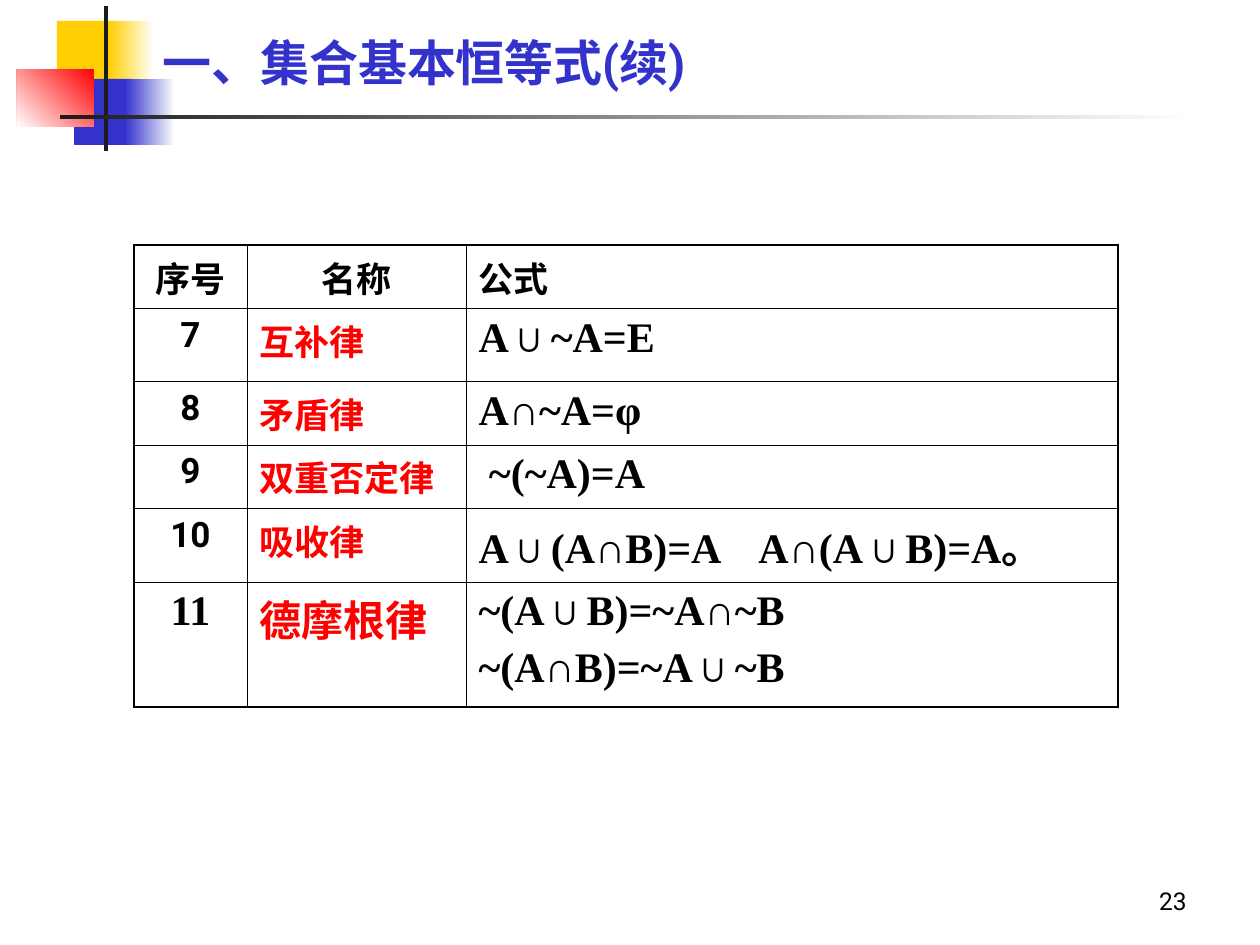
from dataclasses import dataclass

from lxml.etree import SubElement as Sub
from pptx import Presentation
from pptx.dml.color import RGBColor as RGB
from pptx.enum.shapes import MSO_SHAPE as Shape
from pptx.enum.text import MSO_ANCHOR as Anchor, MSO_AUTO_SIZE as Auto, PP_ALIGN as Align
from pptx.oxml.ns import qn
from pptx.util import Emu, Pt

SCALE = 914400 / 126


@dataclass(frozen=True)
class Theme:
    sans: str = "Roboto"
    serif: str = "Times New Roman"
    ink: str = "000000"
    dark: str = "1C1C1C"
    white: str = "FFFFFF"
    blue: str = "3333CC"
    gold: str = "FFCF01"
    red: str = "FF0000"
    title: int = 28
    math: int = 24
    label: int = 20
    page: int = 14
    thin: float = 0.45
    thick: float = 1.08


T = Theme()

HEAD = ("序号", "名称", "公式")
LAWS = [
    ("7", "互补律", "A∪~A=E"),
    ("8", "矛盾律", "A∩~A=φ"),
    ("9", "双重否定律", " ~(~A)=A"),
    ("10", "吸收律", "A∪(A∩B)=A\tA∩(A∪B)=A。"),
    ("11", "德摩根律", "~(A∪B)=~A∩~B\n~(A∩B)=~A∪~B"),
]
COLS = (113, 219, 652)
ROWS = (57, 73, 63, 63, 71, 125)
TAB = 280


def px(n):
    return Emu(round(n * SCALE))


def style(para, size, face, color, bold=False, align=Align.LEFT):
    para.alignment = align
    font = para.font
    font.size, font.name, font.bold = Pt(size), face, bold
    font.color.rgb = RGB.from_string(color)


def block(slide, box, *colors, angle=180):
    """Draw a borderless rectangle, solid or with a two-colour gradient."""
    rect = slide.shapes.add_shape(Shape.RECTANGLE, *map(px, box))
    rect.shadow.inherit = False
    rect.line.fill.background()
    if len(colors) == 1:
        rect.fill.solid()
        rect.fill.fore_color.rgb = RGB.from_string(colors[0])
        return
    rect.fill.gradient()
    rect.fill.gradient_angle = angle
    for stop, color in zip(rect.fill.gradient_stops, colors):
        stop.color.rgb = RGB.from_string(color)


def emblem(slide, x, y):
    """Draw the overlapping squares and the crossed rules beside the title."""
    def put(dx, dy, w, h, *colors, **opts):
        block(slide, (x + dx, y + dy, w, h), *colors, **opts)

    put(40, 15, 61, 66, T.gold)
    put(92, 15, 45, 66, T.white, T.gold)
    put(57, 73, 58, 66, T.blue)
    put(108, 73, 50, 66, T.white, T.blue)
    put(0, 63, 77, 58, T.red, T.white, angle=225)
    put(87, 0, 4, 145, T.dark)
    put(43, 109, 1134, 4, T.white, T.dark)


def title(slide, box, text):
    frame = slide.shapes.add_textbox(*map(px, box)).text_frame
    frame.word_wrap = False
    frame.auto_size = Auto.SHAPE_TO_FIT_TEXT
    frame.text = text
    style(frame.paragraphs[0], T.title, T.sans, T.blue, True)


def number(slide, box, text):
    frame = slide.shapes.add_textbox(*map(px, box)).text_frame
    frame.word_wrap = True
    frame.vertical_anchor = Anchor.BOTTOM
    frame.text = text
    style(frame.paragraphs[0], T.page, T.sans, T.ink, align=Align.RIGHT)


def border(cell, sides):
    """Rule the four sides; a true value marks an outer, thicker side."""
    props = cell._tc.get_or_add_tcPr()
    for side, outer in sides.items():
        width = Pt(T.thick if outer else T.thin)
        line = Sub(props, qn(f"a:ln{side}"), w=str(width))
        Sub(Sub(line, qn("a:solidFill")), qn("a:srgbClr"), val=T.ink)


def tabstop(para):
    tabs = Sub(para._p.get_or_add_pPr(), qn("a:tabLst"))
    Sub(tabs, qn("a:tab"), pos=str(px(TAB)), algn="l")


def fill(cell, text, row, col):
    last, math = row == len(LAWS), row > 0 and col == 2
    big = last or math
    size, face = (T.math, T.serif) if big else (T.label, T.sans)
    color = T.red if row and col == 1 else T.ink
    center = col == 0 or (row == 0 and col == 1)
    border(cell, {"L": col == 0, "R": col == 2, "T": row == 0, "B": last})
    cell.fill.background()
    cell.text = text
    for para in cell.text_frame.paragraphs:
        para.space_before = Pt(6 if big else 5)
        if "\t" in text:
            tabstop(para)
        style(para, size, face, color, True, Align.CENTER if center else Align.LEFT)


def laws(slide, x, y):
    box = map(px, (x, y, sum(COLS), sum(ROWS)))
    grid = slide.shapes.add_table(len(ROWS), len(COLS), *box).table
    grid.first_row = grid.horz_banding = False
    for col, width in zip(grid.columns, COLS):
        col.width = px(width)
    for row, height in zip(grid.rows, ROWS):
        row.height = px(height)
    for r, texts in enumerate([HEAD, *LAWS]):
        for c, text in enumerate(texts):
            fill(grid.cell(r, c), text, r, c)


def main():
    deck = Presentation()
    deck.slide_width, deck.slide_height = px(1260), px(945)
    slide = deck.slides.add_slide(deck.slide_layouts[6])
    emblem(slide, 17, 6)
    laws(slide, 134, 245)
    title(slide, (150, 26, 586, 72), "一、集合基本恒等式(续)")
    number(slide, (937, 859, 262, 63), "23")
    deck.save("out.pptx")


if __name__ == "__main__":
    main()
